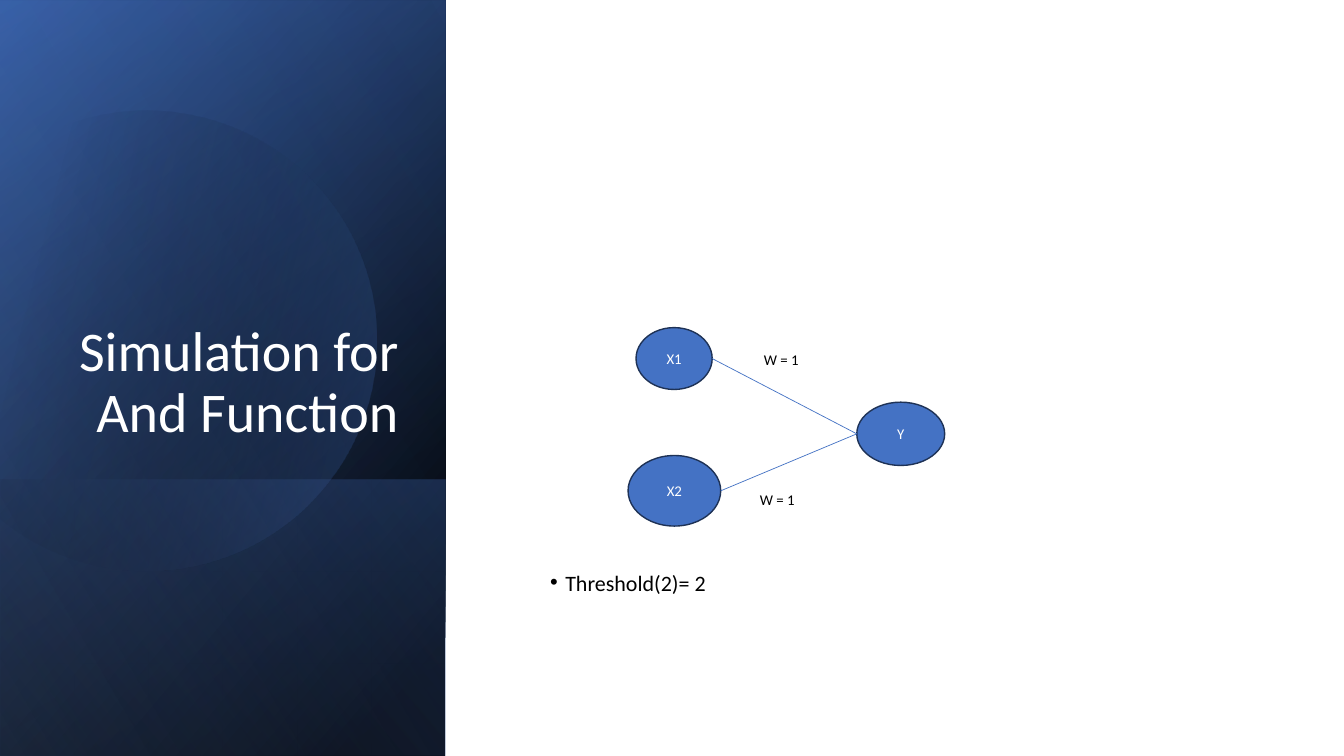
import math
from dataclasses import dataclass
from typing import Optional

import pptx
import pptx.dml.color
import pptx.enum.shapes
import pptx.enum.text
import pptx.oxml
import pptx.oxml.ns
import pptx.util
from lxml import etree

Pt = pptx.util.Pt
ALIGN = pptx.enum.text.PP_ALIGN
ANCHOR = pptx.enum.text.MSO_ANCHOR
SHAPE = pptx.enum.shapes.MSO_SHAPE
FONT = "Calibri"
COLORS = {
    "black": "000000", "white": "FFFFFF", "blue": "4472C4",
    "deep": "2F5597", "pale": "8FAADC", "outline": "1E3256",
}


@dataclass(frozen=True)
class Stop:
    position: int
    color: str
    alpha: int = 100


@dataclass(frozen=True)
class Panel:
    left: float
    top: float
    width: float
    height: float
    angle: int
    stops: tuple[Stop, ...]


@dataclass(frozen=True)
class Neuron:
    name: str
    left: float
    top: float
    width: float
    height: float

    @property
    def middle(self) -> float:
        return self.top + self.height / 2


@dataclass(frozen=True)
class Weight:
    source: Neuron
    label_left: float
    label_top: float


PANELS_BELOW_DISC = (
    Panel(-110.9, 110.9, 540, 318.2, 50, (Stop(8, "black"), Stop(100, "deep"))),
    Panel(-110.9, 111.6, 540, 318.2, 30, (Stop(0, "black", 0), Stop(99, "blue", 46))),
    Panel(60.5, 282.2, 197.3, 318.2, 130, (Stop(2, "blue", 29), Stop(100, "black", 30))),
)
PANEL_ABOVE_DISC = Panel(-110.9, 110.9, 540, 318.2, 120,
                         (Stop(0, "black", 0), Stop(99, "pale", 11)))
DISC_STOPS = (Stop(29, "black", 0), Stop(100, "blue", 43))

X1 = Neuron("X1", 454.3, 234, 54.4, 44.2)
X2 = Neuron("X2", 448.6, 325.4, 66.2, 50.4)
Y = Neuron("Y", 612, 287.3, 62.8, 45.2)
WEIGHTS = (Weight(X1, 538.6, 247), Weight(X2, 535.7, 347))


def rgb(color: str) -> pptx.dml.color.RGBColor:
    return pptx.dml.color.RGBColor.from_string(COLORS[color])


def fill_gradient(shape, stops: tuple[Stop, ...], angle: int) -> None:
    shape.shadow.inherit = False
    shape.line.fill.background()
    shape.fill.background()
    marks = "".join(
        f'<a:gs pos="{s.position * 1000}"><a:srgbClr val="{COLORS[s.color]}">'
        f'<a:alpha val="{s.alpha * 1000}"/></a:srgbClr></a:gs>' for s in stops)
    gradient = pptx.oxml.parse_xml(
        f'<a:gradFill {pptx.oxml.ns.nsdecls("a")} rotWithShape="1"><a:gsLst>{marks}</a:gsLst>'
        f'<a:lin ang="{angle * 60000}" scaled="0"/></a:gradFill>')
    properties = shape.element.spPr
    properties.replace(properties.find(pptx.oxml.ns.qn("a:noFill")), gradient)


def draw_panel(slide, panel: Panel) -> None:
    backdrop = slide.shapes.add_shape(SHAPE.RECTANGLE, Pt(panel.left), Pt(panel.top),
                                      Pt(panel.width), Pt(panel.height))
    backdrop.rotation = 90
    backdrop.element.spPr.xfrm.set("flipH", "1")
    fill_gradient(backdrop, panel.stops, panel.angle)


def draw_disc(slide) -> None:
    """Draw a tilted disc whose left side is cut off by a chord."""
    center_x, center_y, radius = 104.1, 240.5, 164.2
    start, end, steps = -118.5, 150.7, 120
    angles = [math.radians(start + (end - start) * i / steps) for i in range(steps + 1)]
    rim = [(Pt(center_x + radius * math.cos(a)), Pt(center_y + radius * math.sin(a)))
           for a in angles]
    builder = slide.shapes.build_freeform(*rim[0])
    builder.add_line_segments(rim[1:], close=True)
    disc = builder.convert_to_shape()
    disc.rotation = 343.9
    fill_gradient(disc, DISC_STOPS, 30)


def write(frame, text: str, size: float, color: str, align=ALIGN.LEFT,
          spacing: Optional[float] = None, after: float = 0):
    frame.word_wrap = True
    paragraph = frame.paragraphs[0]
    paragraph.alignment = align
    paragraph.line_spacing = spacing
    paragraph.space_after = Pt(after)
    run = paragraph.add_run()
    run.text = text
    run.font.name = FONT
    run.font.size = Pt(size)
    run.font.color.rgb = rgb(color)
    return paragraph


def add_frame(slide, left: float, top: float, width: float, height: float):
    return slide.shapes.add_textbox(Pt(left), Pt(top), Pt(width), Pt(height)).text_frame


def draw_neuron(slide, neuron: Neuron) -> None:
    cell = slide.shapes.add_shape(SHAPE.OVAL, Pt(neuron.left), Pt(neuron.top),
                                  Pt(neuron.width), Pt(neuron.height))
    cell.shadow.inherit = False
    cell.fill.solid()
    cell.fill.fore_color.rgb = rgb("blue")
    cell.line.color.rgb = rgb("outline")
    cell.line.width = Pt(1)
    cell.text_frame.vertical_anchor = ANCHOR.MIDDLE
    write(cell.text_frame, neuron.name, 10.6, "white", ALIGN.CENTER, after=6)


def draw_weight(slide, weight: Weight) -> None:
    source = weight.source
    synapse = slide.shapes.add_connector(
        pptx.enum.shapes.MSO_CONNECTOR.STRAIGHT,
        Pt(source.left + source.width), Pt(source.middle), Pt(Y.left), Pt(Y.middle))
    synapse.line.color.rgb = rgb("blue")
    synapse.line.width = Pt(0.5)
    etree.SubElement(synapse.element.spPr, pptx.oxml.ns.qn("a:effectLst"))
    label = add_frame(slide, weight.label_left, weight.label_top, 46.1, 20.2)
    label.auto_size = pptx.enum.text.MSO_AUTO_SIZE.SHAPE_TO_FIT_TEXT
    write(label, "W = 1", 10.6, "black", after=6)


def main() -> None:
    deck = pptx.Presentation()
    deck.slide_width, deck.slide_height = Pt(960), Pt(540)
    slide = deck.slides.add_slide(deck.slide_layouts[6])

    # Blue side panel
    for panel in PANELS_BELOW_DISC:
        draw_panel(slide, panel)
    draw_disc(slide)
    draw_panel(slide, PANEL_ABOVE_DISC)

    # Title
    title = add_frame(slide, 46.1, 132.5, 245.5, 188.6)
    title.vertical_anchor = ANCHOR.BOTTOM
    write(title, "Simulation for And Function", 40, "white", ALIGN.RIGHT, 0.9)

    # Threshold bullet
    threshold = add_frame(slide, 385.9, 230.4, 470.2, 200.9)
    threshold.vertical_anchor = ANCHOR.BOTTOM
    threshold.margin_bottom = Pt(6)
    item = write(threshold, "Threshold(2)= 2", 15.7, "black", spacing=0.7)
    properties = item._p.get_or_add_pPr()
    properties.set("marL", str(Pt(10.8)))
    properties.set("indent", str(-Pt(10.8)))
    etree.SubElement(properties, pptx.oxml.ns.qn("a:buFont")).set("typeface", "Arial")
    etree.SubElement(properties, pptx.oxml.ns.qn("a:buChar")).set("char", "•")

    # Network
    for neuron in (X1, X2, Y):
        draw_neuron(slide, neuron)
    for weight in WEIGHTS:
        draw_weight(slide, weight)

    deck.save("out.pptx")


if __name__ == "__main__":
    main()
